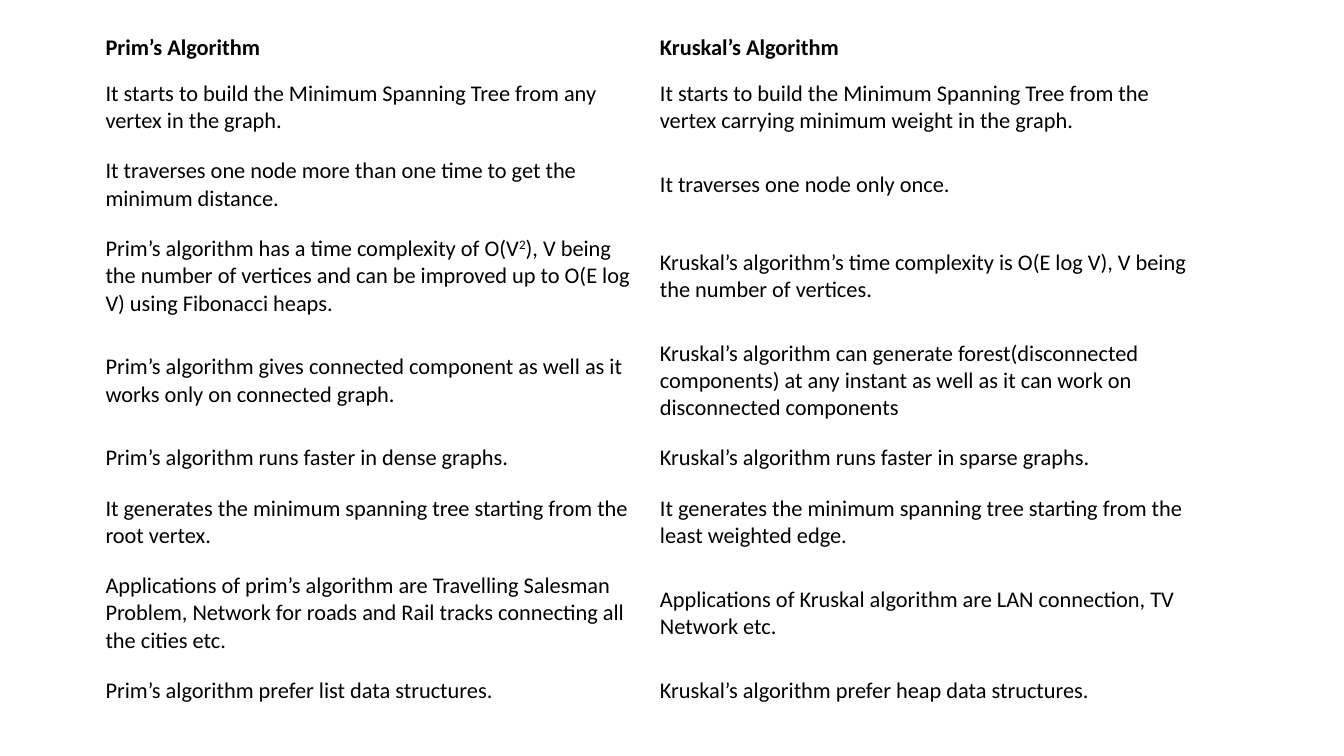
from dataclasses import dataclass

from pptx import Presentation
from pptx.dml.color import RGBColor as Rgb
from pptx.enum.text import MSO_ANCHOR as Anchor
from pptx.util import Pt

COLORS = {"text": "000000", "cell": "FFFFFF"}
TEXT_FORMAT = {"name": "Calibri", "size": Pt(16)}
LINE_HEIGHT = 19.5
SIDE_INSET = 5.4
COLUMN_WIDTH = 396
TABLE_LEFT, TABLE_TOP = 70, 18.8


@dataclass
class Comparison:
    prim: str
    kruskal: str
    lines: int
    inset: float = 8.1
    bold: bool = False

    @property
    def height(self) -> float:
        return self.lines * LINE_HEIGHT + 2 * self.inset


# A caret pair encloses superscript text.
COMPARISONS = [
    Comparison("Prim’s Algorithm", "Kruskal’s Algorithm", 1, inset=5.4, bold=True),
    Comparison(
        "It starts to build the Minimum Spanning Tree from any vertex in the graph.",
        "It starts to build the Minimum Spanning Tree from the vertex carrying "
        "minimum weight in the graph.", 2),
    Comparison(
        "It traverses one node more than one time to get the minimum distance.",
        "It traverses one node only once.", 2),
    Comparison(
        "Prim’s algorithm has a time complexity of O(V^2^), V being the number of "
        "vertices and can be improved up to O(E log V) using Fibonacci heaps.",
        "Kruskal’s algorithm’s time complexity is O(E log V), V being the number "
        "of vertices.", 3),
    Comparison(
        "Prim’s algorithm gives connected component as well as it works only on "
        "connected graph.",
        "Kruskal’s algorithm can generate forest(disconnected components) at any "
        "instant as well as it can work on disconnected components", 3),
    Comparison(
        "Prim’s algorithm runs faster in dense graphs.",
        "Kruskal’s algorithm runs faster in sparse graphs.", 1),
    Comparison(
        "It generates the minimum spanning tree starting from the root vertex.",
        "It generates the minimum spanning tree starting from the least weighted edge.",
        2),
    Comparison(
        "Applications of prim’s algorithm are Travelling Salesman Problem, Network "
        "for roads and Rail tracks connecting all the cities etc.",
        "Applications of Kruskal algorithm are LAN connection, TV Network etc.", 3),
    Comparison(
        "Prim’s algorithm prefer list data structures.",
        "Kruskal’s algorithm prefer heap data structures.", 1),
]


def set_all(target, values: dict) -> None:
    for name, value in values.items():
        setattr(target, name, value)


def fill_cell(cell, text: str, comparison: Comparison) -> None:
    set_all(cell, {
        "vertical_anchor": Anchor.MIDDLE,
        "margin_left": Pt(SIDE_INSET),
        "margin_right": Pt(SIDE_INSET),
        "margin_top": Pt(comparison.inset),
        "margin_bottom": Pt(comparison.inset),
    })
    cell.fill.solid()
    cell.fill.fore_color.rgb = Rgb.from_string(COLORS["cell"])
    para = cell.text_frame.paragraphs[0]
    for index, part in enumerate(text.split("^")):
        span = para.add_run()
        span.text = part
        set_all(span.font, TEXT_FORMAT | {"bold": comparison.bold})
        span.font.color.rgb = Rgb.from_string(COLORS["text"])
        if index % 2:
            span._r.get_or_add_rPr().set("baseline", "30000")


def add_comparison_table(page, comparisons: list[Comparison]) -> None:
    height = sum(comparison.height for comparison in comparisons)
    table = page.shapes.add_table(
        len(comparisons), 2, Pt(TABLE_LEFT), Pt(TABLE_TOP),
        Pt(2 * COLUMN_WIDTH), Pt(height)).table
    set_all(table, {"first_row": False, "horz_banding": False})
    for column in table.columns:
        column.width = Pt(COLUMN_WIDTH)
    for row, comparison in zip(table.rows, comparisons):
        row.height = Pt(comparison.height)
        for cell, text in zip(row.cells, (comparison.prim, comparison.kruskal)):
            fill_cell(cell, text, comparison)


def main() -> None:
    deck = Presentation()
    set_all(deck, {"slide_width": Pt(960), "slide_height": Pt(540)})
    page = deck.slides.add_slide(deck.slide_layouts[6])
    add_comparison_table(page, COMPARISONS)
    deck.save("out.pptx")


if __name__ == "__main__":
    main()
